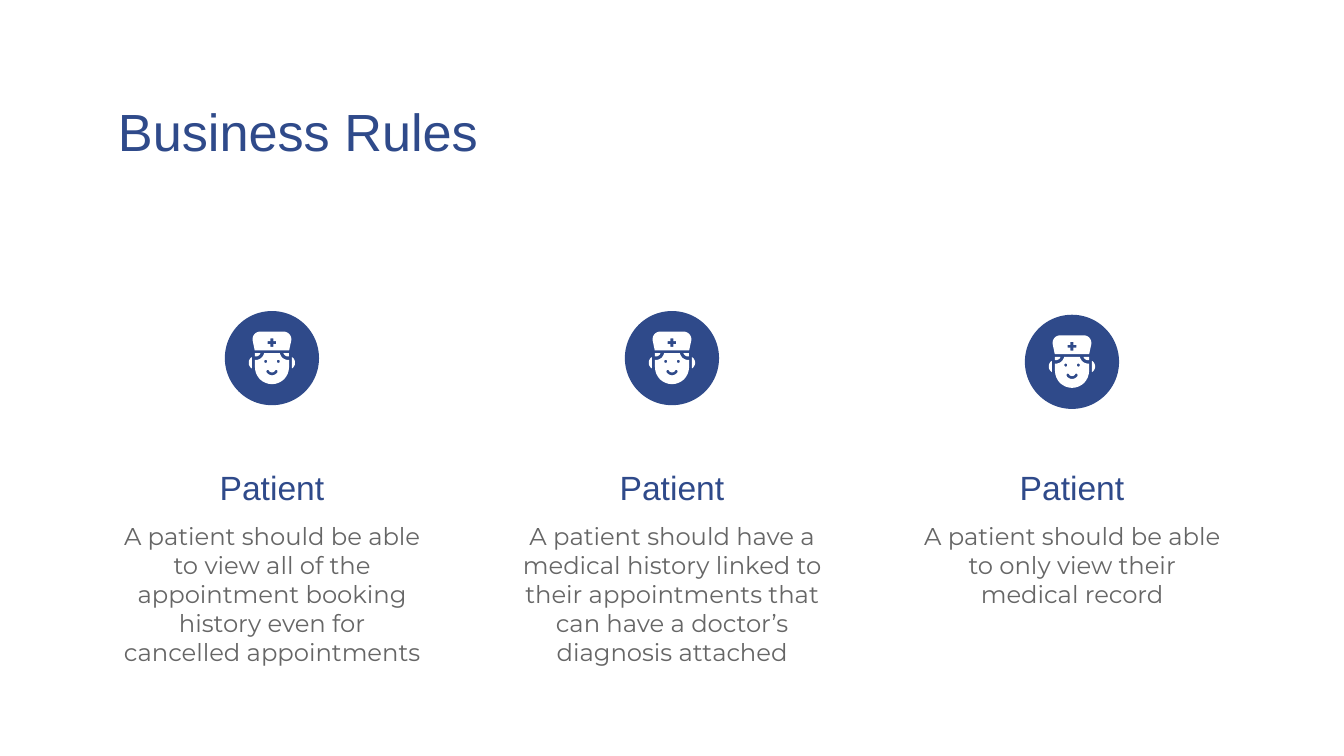
from pptx import Presentation
from pptx.dml.color import RGBColor
from pptx.enum.shapes import MSO_SHAPE
from pptx.enum.text import MSO_ANCHOR, MSO_AUTO_SIZE, PP_ALIGN
from pptx.util import Cm, Pt

OVAL = MSO_SHAPE.OVAL
TOP = MSO_ANCHOR.TOP
NO_FIT = MSO_AUTO_SIZE.NONE
LEFT, CENTER = PP_ALIGN.LEFT, PP_ALIGN.CENTER

THEME = {
    "blue": RGBColor(0x2F, 0x4A, 0x8A),
    "gray": RGBColor(0x66, 0x66, 0x66),
    "white": RGBColor(0xFF, 0xFF, 0xFF),
    "heading_font": "Arial",
    "body_font": "Montserrat",
    "title_size": Pt(28),
    "card_size": Pt(18),
    "body_size": Pt(13),
}
FONTS = {
    "title": {"name": THEME["heading_font"], "size": THEME["title_size"]},
    "card": {"name": THEME["heading_font"], "size": THEME["card_size"]},
    "body": {"name": THEME["body_font"], "size": THEME["body_size"]},
}
COLORS = {"title": THEME["blue"], "card": THEME["blue"], "body": THEME["gray"]}


def write_text(shape, text, style, alignment, top_inset):
    frame = shape.text_frame
    frame.text = text
    frame_format = {
        "word_wrap": True, "auto_size": NO_FIT, "vertical_anchor": TOP,
        "margin_left": Cm(0.25), "margin_right": Cm(0.25),
        "margin_top": Cm(top_inset), "margin_bottom": Cm(0.25),
    }
    for name, value in frame_format.items():
        setattr(frame, name, value)
    paragraph = frame.paragraphs[0]
    paragraph.alignment = alignment
    for name, value in FONTS[style].items():
        setattr(paragraph.font, name, value)
    paragraph.font.color.rgb = COLORS[style]
    return paragraph


def trace(contour, mirror=1):
    points = [contour[0]]
    for step in contour[1:]:
        if len(step) == 2:
            points.append(step)
            continue
        x0, y0 = points[-1]
        x1, y1, x2, y2, x3, y3 = step
        for i in range(1, 9):
            t = i / 8
            a, b, c, d = (1 - t) ** 3, 3 * t * (1 - t) ** 2, 3 * t * t * (1 - t), t ** 3
            points.append((a * x0 + b * x1 + c * x2 + d * x3,
                           a * y0 + b * y1 + c * y2 + d * y3))
    return [(mirror * x, y) for x, y in points]


HAT = [(-85, 153), (-121, 153, -148, 183, -144, 218), (-128, 293), (128, 293),
       (144, 218), (148, 183, 121, 153, 85, 153)]
CROSS = [(-11, 203), (11, 203), (11, 224), (32, 224), (32, 246), (11, 246),
         (11, 267), (-11, 267), (-11, 246), (-32, 246), (-32, 224), (-11, 224)]
FACE = [(-58, 314), (-66, 343, -90, 364, -117, 364), (-127, 364), (-127, 418),
        (-127, 488, -70, 545, 0, 545), (70, 545, 127, 488, 127, 418),
        (127, 364), (117, 364), (90, 364, 66, 343, 58, 314)]
EYE = [(36, 375), (36, 360, 58, 360, 58, 375), (58, 390, 36, 390, 36, 375)]
MOUTH = [(-31, 438), (-20, 438, -22, 457, 0, 457), (22, 457, 20, 438, 31, 438),
         (42, 440, 44, 452, 38, 460), (18, 485, -18, 485, -38, 460),
         (-44, 452, -42, 440, -31, 438)]
HAIR = [(86, 314), (91, 328, 105, 338, 118, 338), (127, 338), (127, 314)]
EAR = [(149, 343), (149, 427), (165, 417, 172, 403, 172, 385),
       (172, 367, 165, 352, 149, 343)]
ICON_PARTS = [
    [trace(HAT), trace(CROSS)],
    [trace(FACE), trace(EYE), trace(EYE, -1), trace(MOUTH)],
    [trace(HAIR)], [trace(HAIR, -1)],
    [trace(EAR)], [trace(EAR, -1)],
]
ICON_UNIT = Cm(0.00254)

CARDS = [
    ("Patient", "A patient should be able to view all of the appointment booking "
     "history even for cancelled appointments", 5.88),
    ("Patient", "A patient should have a medical history linked to their "
     "appointments that can have a doctor’s diagnosis attached", 5.88),
    ("Patient", "A patient should be able to only view their medical record", 5.95),
]
MARGIN, CARD_WIDTH, CARD_PITCH, CIRCLE = 1.98, 6.32, 7.56, 1.78

presentation = Presentation()
presentation.slide_width = Cm(25.4)
presentation.slide_height = Cm(14.29)
slide = presentation.slides.add_slide(presentation.slide_layouts[5])
slide.background.fill.solid()
slide.background.fill.fore_color.rgb = THEME["white"]

title = slide.shapes.title
title_place = {"left": Cm(MARGIN), "top": Cm(1.52), "width": Cm(21.44), "height": Cm(1.3)}
for name, value in title_place.items():
    setattr(title, name, value)
write_text(title, "Business Rules", "title", LEFT, 0.36)

for column, (heading, rule, circle_top) in enumerate(CARDS):
    left = MARGIN + column * CARD_PITCH
    center = left + CARD_WIDTH / 2

    heading_box = slide.shapes.add_textbox(Cm(left), Cm(8.51), Cm(CARD_WIDTH), Cm(1.3))
    write_text(heading_box, heading, "card", CENTER, 0.31)
    rule_box = slide.shapes.add_textbox(Cm(left), Cm(9.6), Cm(CARD_WIDTH), Cm(2.13))
    write_text(rule_box, rule, "body", CENTER, 0.25).space_after = Pt(12)

    circle = slide.shapes.add_shape(
        OVAL, Cm(center - CIRCLE / 2), Cm(circle_top), Cm(CIRCLE), Cm(CIRCLE))
    circle.shadow.inherit = False
    circle.fill.solid()
    circle.fill.fore_color.rgb = THEME["blue"]
    circle.line.fill.background()

    icon = slide.shapes.add_group_shape()
    for contours in ICON_PARTS:
        builder = icon.shapes.build_freeform(*contours[0][0], scale=ICON_UNIT)
        builder.add_line_segments(contours[0][1:], close=True)
        for contour in contours[1:]:
            builder.move_to(*contour[0])
            builder.add_line_segments(contour[1:], close=True)
        part = builder.convert_to_shape(Cm(center), Cm(circle_top))
        part.shadow.inherit = False
        part.fill.solid()
        part.fill.fore_color.rgb = THEME["white"]
        part.line.fill.background()

presentation.save("out.pptx")
